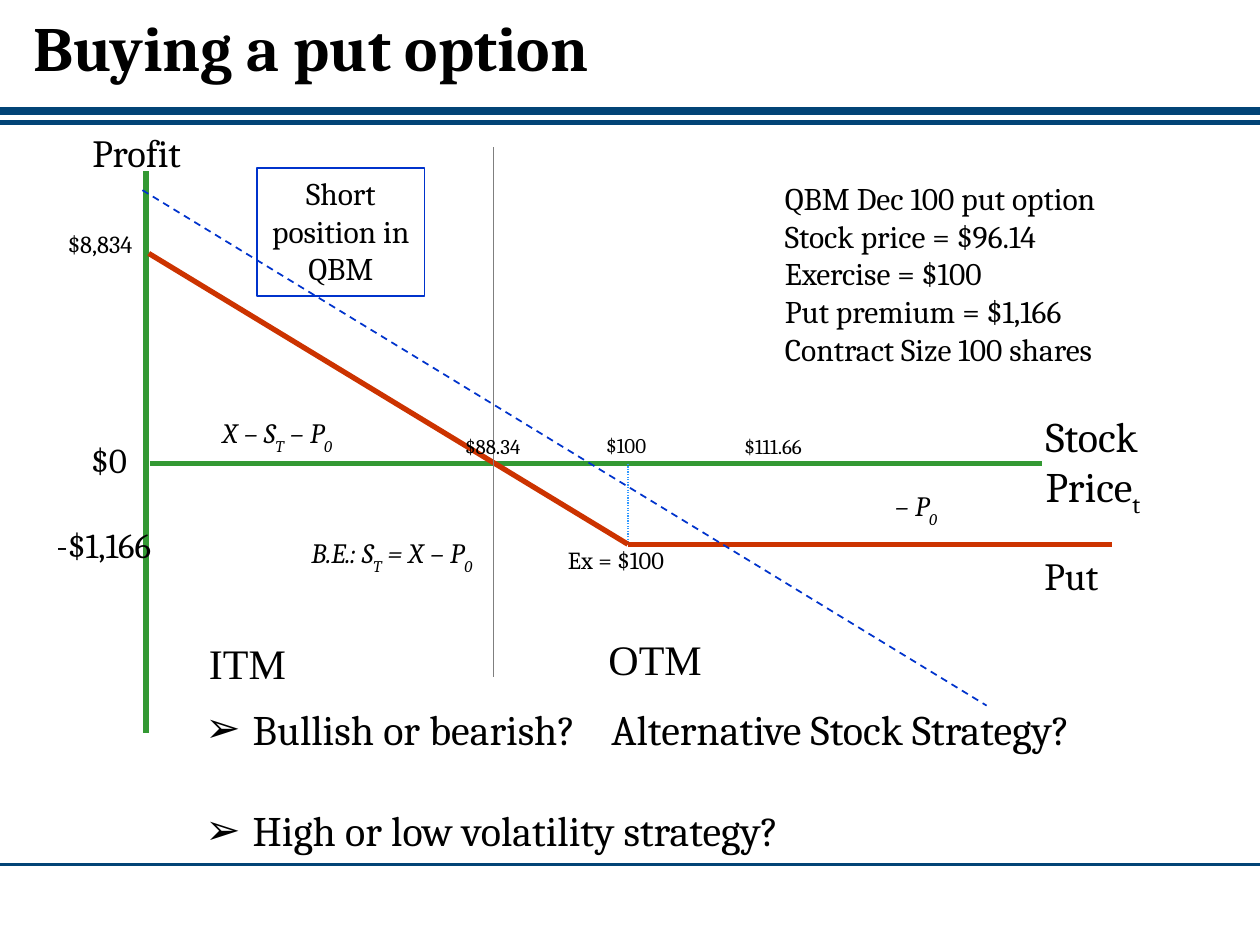
import pptx
import pptx.util
import pptx.dml.color
import pptx.enum.dml
import pptx.enum.shapes
import pptx.enum.text
import pptx.oxml.ns
from lxml import etree

Pt = pptx.util.Pt
qn = pptx.oxml.ns.qn
Align = pptx.enum.text.PP_ALIGN
Anchor = pptx.enum.text.MSO_ANCHOR
Fit = pptx.enum.text.MSO_AUTO_SIZE
Dash = pptx.enum.dml.MSO_LINE
Shape = pptx.enum.shapes.MSO_SHAPE

COLORS = {"navy": "024476", "green": "339933", "red": "CC3300", "blue": "0033CC",
          "sky": "3399FF", "gray": "7F7F7F", "white": "FFFFFF", "black": "000000"}
FONT = "Cambria"
SERIF = "Times New Roman"

TITLE = "Buying a put option"
QUESTIONS = ["Bullish or bearish?\tAlternative Stock Strategy?",
             "High or low volatility strategy?"]
CONTRACT = ["QBM Dec 100 put option", "Stock price = $96.14", "Exercise = $100",
            "Put premium = $1,166", "Contract Size 100 shares"]

AXIS_Y, AXIS_X = 265, 83.5
STRIKE_X, LOSS_Y = 358.8, 311
BREAK_EVEN_X = 282

RULES = [(0, 63.4, 720, 63.4, "navy", 4.5, None),
         (0, 69.8, 720, 69.8, "navy", 3, None),
         (0, 493.9, 720, 493.9, "navy", 1.5, None)]
CHART_LINES = [(85.7, AXIS_Y, 595.4, AXIS_Y, "green", 3, None),
               (AXIS_X, 98, AXIS_X, 419, "green", 3, None),
               (STRIKE_X, AXIS_Y, STRIKE_X, LOSS_Y, "sky", 0.75, Dash.ROUND_DOT),
               (635.4, LOSS_Y, STRIKE_X, LOSS_Y, "red", 3, None),
               (STRIKE_X, LOSS_Y, 85, 144.8, "red", 3, None),
               (81.4, 108.7, 563.8, 403.2, "blue", 1, Dash.DASH),
               (BREAK_EVEN_X, 84.2, BREAK_EVEN_X, 386.6, "gray", 0.5, None)]

LEFT, CENTER = Align.LEFT, Align.CENTER
TOP, MIDDLE = Anchor.TOP, Anchor.MIDDLE
LABELS = [
    (CONTRACT, (441.4, 97.9, 208.8, 116.6), 18, LEFT, MIDDLE, FONT),
    (["Ex = $100"], (317.5, 307.4, 74.2, 24.5), 14, LEFT, MIDDLE, FONT),
    (["Profit"], (43.2, 69.8, 69.8, 33.8), 22, CENTER, MIDDLE, FONT),
    (["$0"], (42.3, 247, 40, 31.7), 20, CENTER, MIDDLE, FONT),
    (["-$1,166"], (20.9, 295.2, 77, 31.7), 20, CENTER, MIDDLE, FONT),
    (["Put"], (588.2, 311.8, 48.2, 33.8), 22, CENTER, MIDDLE, FONT),
    (["$100"], (338.4, 243.4, 38.9, 21.6), 12, CENTER, MIDDLE, FONT),
    (["$88.34"], (257.8, 244.1, 47.5, 21.6), 12, CENTER, MIDDLE, FONT),
    (["$8,834"], (31.7, 127.4, 67.7, 23.8), 14, LEFT, TOP, FONT),
    (["$111.66"], (418.3, 244.1, 85.7, 21.6), 12, LEFT, TOP, FONT),
    (["OTM"], (340.6, 358.6, 68.4, 36), 24, LEFT, TOP, SERIF),
    (["ITM"], (112.3, 360.7, 59, 36), 24, LEFT, TOP, SERIF),
    (["Stock", [("Price", 0), ("t", -25)]], (590.4, 232.6, 78.5, 65.5), 24, LEFT, MIDDLE, FONT),
]
FORMULAS = [
    ([("X – S", 0), ("T", -30), (" – P", 0), ("0", -30)],
     (88.6, 234, 139.7, 26.6), Shape.RECTANGLE, []),
    ([("– P", 0), ("0", -30)],
     (453.6, 275.8, 139.7, 26.6), Shape.RECTANGLE, []),
    ([("B.E.: S", 0), ("T", -30), (" = X – P", 0), ("0", -30)],
     (154.1, 289.4, 139.7, 39.6), Shape.UP_ARROW_CALLOUT, [0.523, 0.966, 0.135, 0.667]),
]


def rgb(name):
    return pptx.dml.color.RGBColor.from_string(COLORS[name])


def points(values):
    return [Pt(value) for value in values]


def add_runs(paragraph, content, size, font=FONT, bold=False, italic=False):
    pieces = [(content, 0)] if isinstance(content, str) else content
    for text, baseline in pieces:
        run = paragraph.add_run()
        run.text = text
        run.font.size = Pt(size)
        run.font.name = font
        run.font.bold = bold
        run.font.italic = italic
        run.font.color.rgb = rgb("black")
        if baseline:
            run._r.get_or_add_rPr().set("baseline", str(baseline * 1000))


def fill_frame(frame, lines, size, align, anchor, font=FONT, italic=False):
    frame.vertical_anchor = anchor
    for index, line in enumerate(lines):
        paragraph = frame.add_paragraph() if index else frame.paragraphs[0]
        paragraph.alignment = align
        add_runs(paragraph, line, size, font, italic=italic)


def add_line(slide, start_x, start_y, end_x, end_y, color, width, dash):
    line = slide.shapes.add_connector(pptx.enum.shapes.MSO_CONNECTOR.STRAIGHT,
                                      *points((start_x, start_y, end_x, end_y)))
    line.line.color.rgb = rgb(color)
    line.line.width = Pt(width)
    if dash:
        line.line.dash_style = dash
    etree.SubElement(line._element.spPr, qn("a:effectLst"))


def add_label(slide, lines, box, size, align, anchor, font):
    frame = slide.shapes.add_textbox(*points(box)).text_frame
    frame.word_wrap = False
    frame.auto_size = Fit.SHAPE_TO_FIT_TEXT
    fill_frame(frame, lines, size, align, anchor, font)


def add_box(slide, kind, box, content, size, italic=False):
    shape = slide.shapes.add_shape(kind, *points(box))
    shape.shadow.inherit = False
    shape.text_frame.word_wrap = True
    fill_frame(shape.text_frame, [content], size, CENTER, TOP, italic=italic)
    return shape


def place(placeholder, box):
    placeholder.left, placeholder.top, placeholder.width, placeholder.height = points(box)
    placeholder.text_frame.auto_size = Fit.NONE


def set_title(slide):
    title = slide.shapes.title
    place(title, (12.2, 5, 486, 49))
    title.text_frame.vertical_anchor = MIDDLE
    paragraph = title.text_frame.paragraphs[0]
    paragraph.alignment = LEFT
    paragraph.line_spacing = 0.9
    add_runs(paragraph, TITLE, 36, bold=True)


def set_questions(slide):
    body = slide.placeholders[1]
    place(body, (110.2, 398.2, 633.6, 94.3))
    fill_frame(body.text_frame, QUESTIONS, 24, LEFT, TOP)
    for index, paragraph in enumerate(body.text_frame.paragraphs):
        properties = paragraph._p.get_or_add_pPr()
        properties.set("marL", str(Pt(27)))
        properties.set("indent", str(-Pt(27)))
        etree.SubElement(properties, qn("a:buChar"), char="➢")
        if "\t" in QUESTIONS[index]:
            tabs = etree.SubElement(properties, qn("a:tabLst"))
            etree.SubElement(tabs, qn("a:tab"), pos=str(Pt(232)), algn="l")
        paragraph.space_before = Pt(29 * index)


def main():
    presentation = pptx.Presentation()
    presentation.slide_width, presentation.slide_height = Pt(720), Pt(540)
    slide = presentation.slides.add_slide(presentation.slide_layouts[1])
    set_title(slide)
    set_questions(slide)
    for rule in RULES:
        add_line(slide, *rule)
    for content, box, kind, adjustments in FORMULAS:
        formula = add_box(slide, kind, box, content, 16, italic=True)
        formula.fill.solid()
        formula.fill.fore_color.rgb = rgb("white")
        formula.line.fill.background()
        for index, value in enumerate(adjustments):
            formula.adjustments[index] = value
    for line in CHART_LINES:
        add_line(slide, *line)
    for label in LABELS:
        add_label(slide, *label)
    short = add_box(slide, Shape.RECTANGLE, (146.9, 95.8, 95.8, 73.4),
                    "Short position in QBM", 18)
    short.fill.background()
    short.line.color.rgb = rgb("blue")
    short.line.width = Pt(1)
    presentation.save("out.pptx")


if __name__ == "__main__":
    main()
